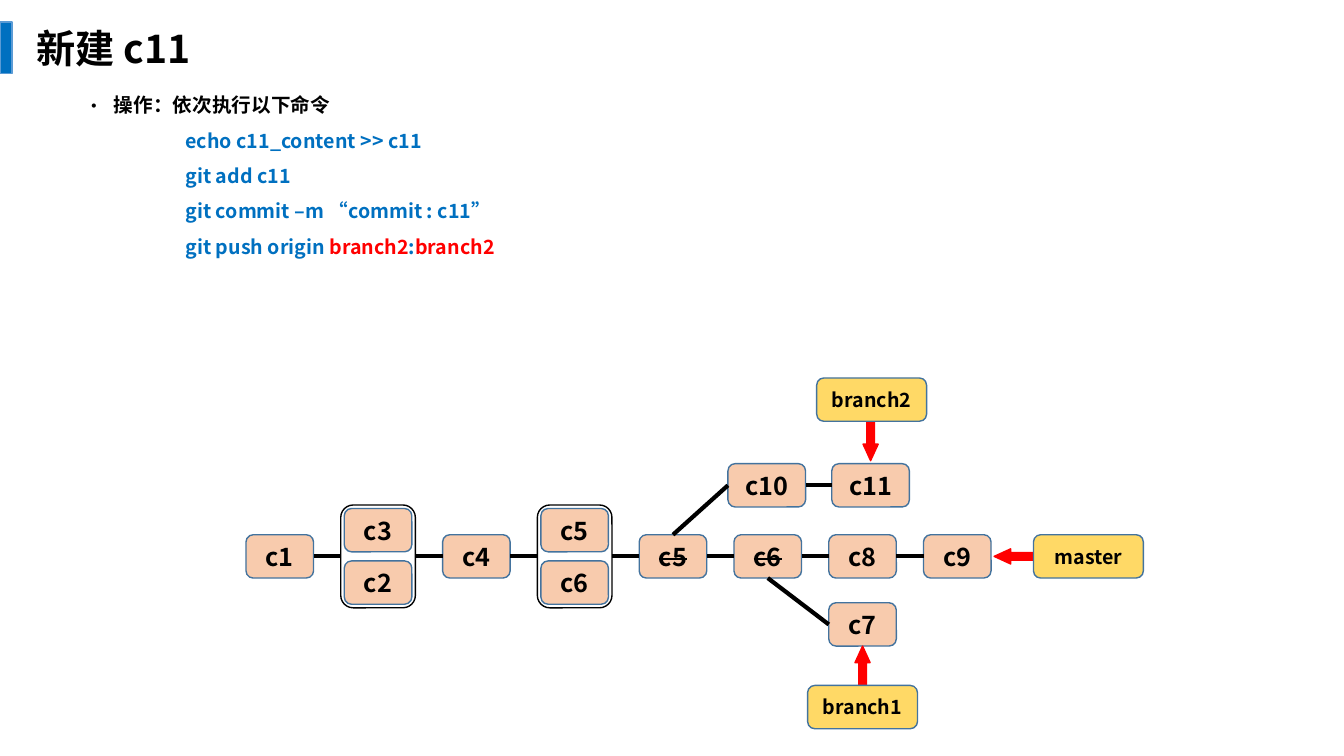
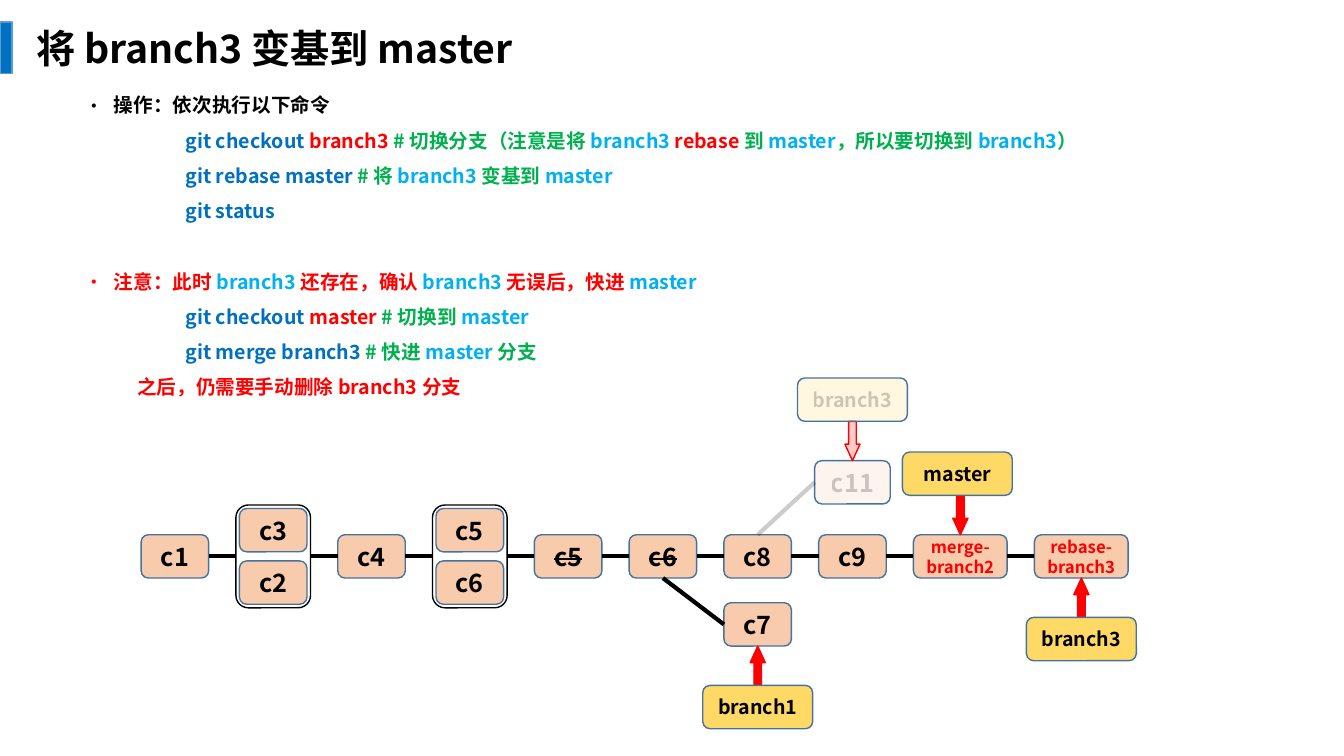
from dataclasses import dataclass

from pptx import Presentation
from pptx.dml.color import RGBColor
from pptx.enum.shapes import MSO_CONNECTOR, MSO_SHAPE as Preset
from pptx.enum.text import MSO_ANCHOR as Anchor, MSO_AUTO_SIZE as AutoSize, PP_ALIGN as Align
from pptx.oxml.ns import qn
from pptx.util import Inches, Pt
from lxml.etree import SubElement


@dataclass(frozen=True)
class Theme:
    font: str = "Noto Sans CJK SC"
    black: str = "000000"
    blue: str = "0070C0"
    red: str = "FF0000"
    green: str = "00B050"
    sky: str = "00B0F0"
    commit: str = "F8CBAD"
    label: str = "FFD966"
    outline: str = "43739E"
    band_line: str = "5B9BD5"
    title_size: int = 28
    body_size: int = 14
    commit_size: int = 18
    merge_size: int = 12
    faded_alpha: int = 20000


THEME = Theme()
TOP, LEFT, BOTTOM, RIGHT = range(4)

# Measures of the commit graph, in inches
ROW_MIDDLE = 5.52
NODE_WIDTH, NODE_HEIGHT = 0.67, 0.43
STACK_WIDTH, STACK_HEIGHT, STACK_STEP = 0.74, 1.02, 0.52
MERGE_WIDTH = 0.93
LABEL_WIDTH = 1.09
GAP = 0.27
ARROW_WIDTH, ARROW_LENGTH = 0.15, 0.39


def rgb(colour):
    return RGBColor.from_string(colour)


def style_para(para, size, colour=THEME.black):
    font = para.font
    font.size, font.bold, font.name = Pt(size), True, THEME.font
    font.color.rgb = rgb(colour)
    properties = para._p.pPr.find(qn("a:defRPr"))
    SubElement(properties, qn("a:ea"), typeface=THEME.font)


def fade(element):
    """Make every colour set so far in the element mostly transparent."""
    for colour in element.iter(qn("a:srgbClr")):
        SubElement(colour, qn("a:alpha"), val=str(THEME.faded_alpha))


def set_line(shape, colour, width=1):
    shape.line.color.rgb = rgb(colour)
    shape.line.width = Pt(width)


def add_preset(page, preset, left, top, width, height, fill=None):
    shape = page.shapes.add_shape(
        preset, Inches(left), Inches(top), Inches(width), Inches(height))
    shape.shadow.inherit = False
    if fill:
        shape.fill.solid()
        shape.fill.fore_color.rgb = rgb(fill)
    else:
        shape.fill.background()
    return shape


def add_box(page, text, left, top, width, fill, size, colour=THEME.black,
            struck=False, faded=False):
    box = add_preset(page, Preset.ROUNDED_RECTANGLE, left, top, width, NODE_HEIGHT, fill)
    para = box.text_frame.paragraphs[0]
    para.alignment = Align.CENTER
    span = para.add_run()
    span.text = text
    style_para(para, size, colour)
    if struck:
        span._r.get_or_add_rPr().set("strike", "sngStrike")
    if faded:
        fade(box.element)
    set_line(box, THEME.outline)
    return box


def add_commit(page, text, left, top=ROW_MIDDLE - NODE_HEIGHT / 2, width=NODE_WIDTH, **look):
    return add_box(page, text, left, top, width, THEME.commit, THEME.commit_size, **look)


def add_merge(page, text, left):
    return add_box(page, text, left, ROW_MIDDLE - NODE_HEIGHT / 2, MERGE_WIDTH,
                   THEME.commit, THEME.merge_size, THEME.red)


def add_stack(page, names, left):
    """Two commits one above the other in a frame; returns the frame."""
    for name, offset in zip(names, (-STACK_STEP / 2, STACK_STEP / 2)):
        add_commit(page, name, left + (STACK_WIDTH - NODE_WIDTH) / 2,
                   ROW_MIDDLE + offset - NODE_HEIGHT / 2)
    frame = add_preset(page, Preset.ROUNDED_RECTANGLE, left, ROW_MIDDLE - STACK_HEIGHT / 2,
                       STACK_WIDTH, STACK_HEIGHT)
    set_line(frame, THEME.black)
    return frame


def join(page, start, start_side, end, end_side, faded=False):
    line = page.shapes.add_connector(MSO_CONNECTOR.STRAIGHT, 0, 0, 0, 0)
    line.begin_connect(start, start_side)
    line.end_connect(end, end_side)
    set_line(line, THEME.black, 3)
    if faded:
        fade(line.element)
    SubElement(line.element.spPr, qn("a:effectLst"))


def add_pointer(page, name, commit, side, gap=ARROW_LENGTH, shift=0.0, faded=False):
    """A branch label beside a commit, with a block arrow from label to commit."""
    left, top = commit.left.inches, commit.top.inches
    width, height = commit.width.inches, commit.height.inches
    x, y = left + width / 2, top + height / 2
    label_reach, arrow_reach = gap + NODE_HEIGHT / 2, gap - ARROW_LENGTH / 2
    if side == RIGHT:
        edge = left + width
        label_x, label_y = edge + gap + LABEL_WIDTH / 2, y
        arrow_x, arrow_y = edge + arrow_reach, y
    else:
        edge, sign = (top, -1) if side == TOP else (top + height, 1)
        label_x, label_y = x + shift, edge + sign * label_reach
        arrow_x, arrow_y = x, edge + sign * arrow_reach
    arrow = add_preset(page, Preset.DOWN_ARROW, arrow_x - ARROW_WIDTH / 2,
                       arrow_y - ARROW_LENGTH / 2, ARROW_WIDTH, ARROW_LENGTH, THEME.red)
    arrow.adjustments[1] = 1.09
    arrow.rotation = {TOP: 0, RIGHT: 90, BOTTOM: 180}[side]
    if faded:
        fade(arrow.element)
    set_line(arrow, THEME.red)
    add_box(page, name, label_x - LABEL_WIDTH / 2, label_y - NODE_HEIGHT / 2, LABEL_WIDTH,
            THEME.label, THEME.body_size, faded=faded)


def add_history(page, left, merges=()):
    """The main row of commits and the c7 branch; returns commits by name."""
    items = ["c1", ("c3", "c2"), "c4", ("c5", "c6"), "c5", "c6", "c8", "c9", *merges]
    commits, previous = {}, None
    for item in items:
        if isinstance(item, tuple):
            node = add_stack(page, item, left)
        elif item in merges:
            node = add_merge(page, item, left)
        else:
            node = add_commit(page, item, left, struck=item in ("c5", "c6"))
        if previous is not None:
            join(page, previous, RIGHT, node, LEFT)
        commits[item] = previous = node
        left += node.width.inches + GAP
    branch = add_commit(page, "c7", commits["c8"].left.inches, 5.98)
    join(page, commits["c6"], BOTTOM, branch, LEFT)
    add_pointer(page, "branch1", branch, BOTTOM)
    return commits


def set_layout(para, margin, hanging=0.0, bullet=False):
    properties = para._p.get_or_add_pPr()
    properties.set("marL", str(Inches(margin)))
    properties.set("indent", str(-Inches(hanging)))
    if bullet:
        SubElement(properties, qn("a:buFont"), typeface=THEME.font)
        SubElement(properties, qn("a:buChar"), char="·")
    else:
        SubElement(properties, qn("a:buNone"))


def bullet_line(*spans, before=0):
    return spans, dict(margin=0.29, hanging=0.29, bullet=True), before


def command_line(*spans):
    return spans, dict(margin=1), 0


def note_line(*spans):
    return spans, dict(margin=0.52), 0


def write_body(frame, lines):
    frame.auto_size, frame.word_wrap = AutoSize.NONE, True
    frame.vertical_anchor = Anchor.TOP
    for index, (spans, layout, before) in enumerate(lines):
        para = frame.add_paragraph() if index else frame.paragraphs[0]
        para.line_spacing, para.space_before = 1.5, Pt(before)
        set_layout(para, **layout)
        style_para(para, THEME.body_size)
        for text, colour in spans:
            span = para.add_run()
            span.text = text
            span.font.color.rgb = rgb(colour)


def prepare_layout(layout):
    for holder, bounds in zip(layout.placeholders,
                              ((0.26, 0.19, 9.25, 0.57), (0.74, 0.76, 12.45, 3.24))):
        holder.left, holder.top, holder.width, holder.height = map(Inches, bounds)


def add_band(page):
    """Draw the title band and hand it to the layout that all pages share."""
    band = add_preset(page, Preset.RECTANGLE, 0, 0.22, 0.12, 0.51, THEME.blue)
    set_line(band, THEME.band_line)
    band.element.nvSpPr.cNvPr.set("id", "20")
    page.slide_layout.shapes.element.insert(2, band.element)


def add_page(deck, layout, title, lines):
    page = deck.slides.add_slide(layout)
    frame = page.shapes.title.text_frame
    frame.text = title
    frame.auto_size, frame.vertical_anchor = AutoSize.NONE, Anchor.TOP
    frame.paragraphs[0].alignment = Align.LEFT
    style_para(frame.paragraphs[0], THEME.title_size)
    write_body(page.placeholders[1].text_frame, lines)
    return page


def add_new_commit_page(deck, layout):
    blue, red = THEME.blue, THEME.red
    page = add_page(deck, layout, "新建 c11", [
        bullet_line(("操作：依次执行以下命令", THEME.black)),
        command_line(("echo c11_content >> c11", blue)),
        command_line(("git add c11", blue)),
        command_line(("git commit –m “commit : c11”", blue)),
        command_line(("git push origin ", blue), ("branch2", red), (":", blue),
                     ("branch2", red)),
    ])
    commits = add_history(page, 2.44)
    add_pointer(page, "master", commits["c9"], RIGHT, gap=0.42)
    first = add_commit(page, "c10", 7.22, 4.6, 0.77)
    second = add_commit(page, "c11", 8.25, 4.6, 0.77)
    join(page, commits["c5"], TOP, first, LEFT)
    join(page, first, RIGHT, second, LEFT)
    add_pointer(page, "branch2", second, TOP, gap=0.42, shift=0.01)
    return page


def add_rebase_page(deck, layout):
    blue, red, green, sky = THEME.blue, THEME.red, THEME.green, THEME.sky
    page = add_page(deck, layout, "将 branch3 变基到 master", [
        bullet_line(("操作：依次执行以下命令", THEME.black)),
        command_line(("git checkout ", blue), ("branch3 ", red),
                     ("# 切换分支（注意是将 ", green), ("branch3 ", sky), ("rebase ", red),
                     ("到 ", green), ("master", sky), ("，所以要切换到 ", green),
                     ("branch3", sky), ("）", green)),
        command_line(("git rebase master ", blue), ("# 将 ", green), ("branch3 ", sky),
                     ("变基到 ", green), ("master", sky)),
        command_line(("git status", blue)),
        bullet_line(("注意：此时 ", red), ("branch3 ", sky), ("还存在，确认 ", red),
                    ("branch3 ", sky), ("无误后，快进 ", red), ("master", sky), before=25),
        command_line(("git checkout ", blue), ("master ", red), ("# 切换到 ", green),
                     ("master", sky)),
        command_line(("git merge branch3 ", blue), ("# 快进 ", green), ("master ", sky),
                     ("分支", green)),
        note_line(("之后，仍需要手动删除 branch3 分支", red)),
    ])
    merged, rebased = "merge-branch2", "rebase-branch3"
    commits = add_history(page, 1.4, (merged, rebased))
    add_pointer(page, "master", commits[merged], TOP, shift=-0.03)
    add_pointer(page, "branch3", commits[rebased], BOTTOM)
    old = add_commit(page, "c11", 8.08, 4.57, 0.75, faded=True)
    join(page, commits["c8"], TOP, old, LEFT, faded=True)
    add_pointer(page, "branch3", old, TOP, faded=True)


def main():
    deck = Presentation()
    deck.slide_width, deck.slide_height = Inches(13.33), Inches(7.5)
    layout = deck.slide_layouts[1]
    prepare_layout(layout)
    add_band(add_new_commit_page(deck, layout))
    add_rebase_page(deck, layout)
    deck.save("out.pptx")


if __name__ == "__main__":
    main()
